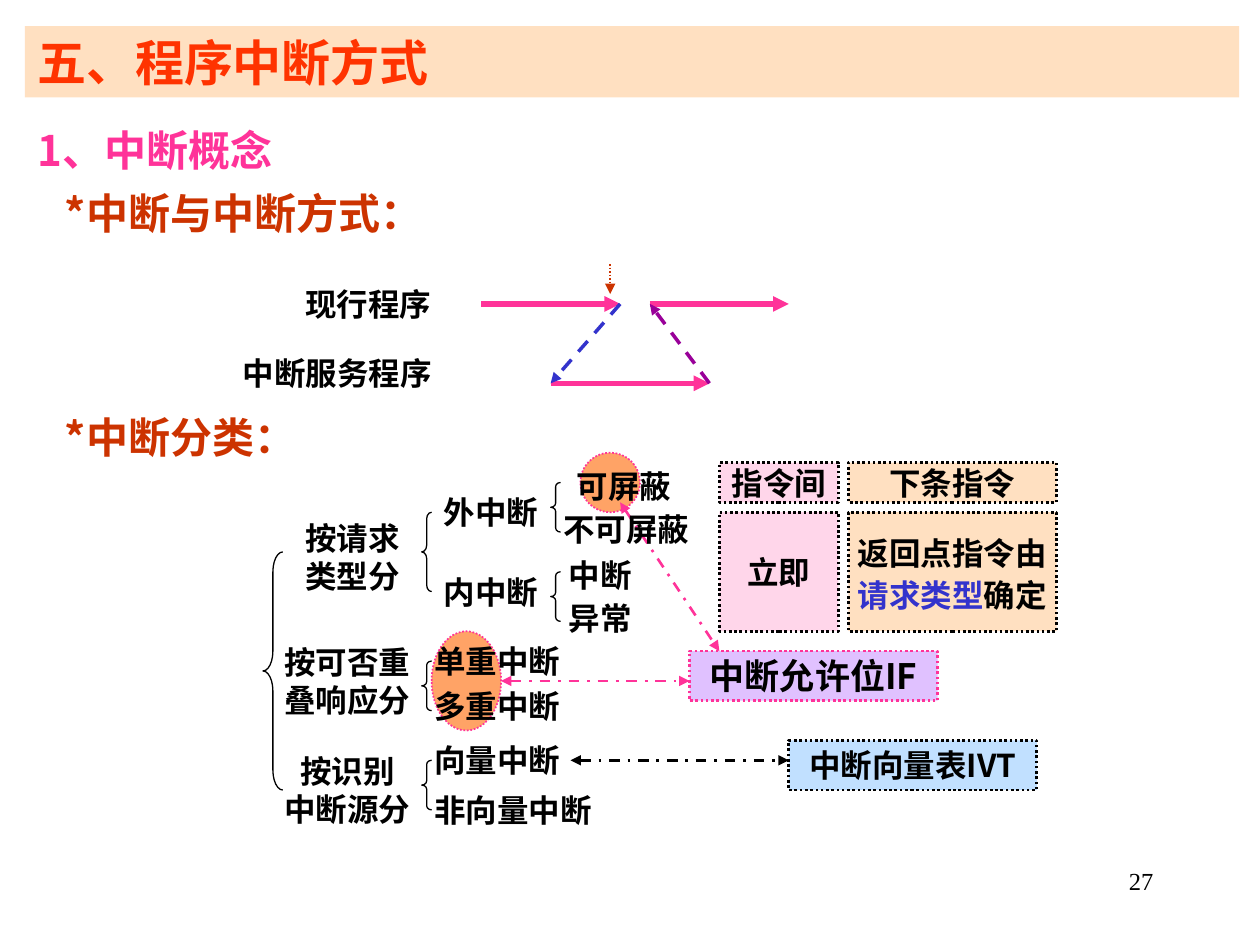
from lxml.etree import SubElement
from pptx import Presentation
from pptx.dml.color import RGBColor
from pptx.enum.dml import MSO_LINE
from pptx.enum.shapes import MSO_CONNECTOR, MSO_SHAPE
from pptx.enum.text import MSO_ANCHOR, PP_ALIGN
from pptx.oxml.ns import qn
from pptx.util import Inches, Mm, Pt

BLACK = RGBColor(0x00, 0x00, 0x00)
RED = RGBColor(0xFF, 0x33, 0x00)
BRICK = RGBColor(0xCC, 0x33, 0x00)
PINK = RGBColor(0xFF, 0x33, 0x99)
BLUE = RGBColor(0x33, 0x33, 0xCC)
PURPLE = RGBColor(0x99, 0x00, 0x99)
PEACH = RGBColor(0xFF, 0xCC, 0x99)
ROSE = RGBColor(0xFF, 0x99, 0xCC)
SKY = RGBColor(0x99, 0xCC, 0xFF)
LILAC = RGBColor(0xCC, 0x99, 0xFF)
ORANGE = RGBColor(0xFF, 0x66, 0x00)


class GridSlide:
    """Draws elements on a slide laid out on a grid of two-millimetre cells."""

    cell = Mm(2)
    left, top = Inches(0.04), Inches(0.05)
    sans, serif = "Noto Sans CJK SC", "Times New Roman"
    tight, roomy = (0.02, 0.01), (0.1, 0.05)

    def __init__(self, slide):
        self.slide = slide

    def point(self, column, row):
        return int(self.left + column * self.cell), int(self.top + row * self.cell)

    def area(self, column, row, columns, rows):
        return *self.point(column, row), int(columns * self.cell), int(rows * self.cell)

    def frame(self, shape, insets, anchor):
        frame = shape.text_frame
        frame.word_wrap = True
        frame.vertical_anchor = anchor
        frame.margin_left = frame.margin_right = Inches(insets[0])
        frame.margin_top = frame.margin_bottom = Inches(insets[1])
        return frame

    def label(self, *cells, insets=tight, anchor=MSO_ANCHOR.MIDDLE):
        box = self.slide.shapes.add_textbox(*self.area(*cells))
        return self.frame(box, insets, anchor)

    def panel(self, *cells, fill, opacity=60, outline=BLACK, weight=1.5,
              kind=MSO_SHAPE.RECTANGLE, insets=tight, anchor=MSO_ANCHOR.MIDDLE):
        shape = self.slide.shapes.add_shape(kind, *self.area(*cells))
        shape.shadow.inherit = False
        shape.fill.solid()
        shape.fill.fore_color.rgb = fill
        tint = shape._element.spPr.find(qn("a:solidFill"))[0]
        SubElement(tint, qn("a:alpha"), val=str(opacity * 1000))
        if outline is None:
            shape.line.fill.background()
        else:
            shape.line.color.rgb = outline
            shape.line.width = Pt(weight)
            shape.line.dash_style = MSO_LINE.ROUND_DOT
        return self.frame(shape, insets, anchor)

    def brace(self, column, row, columns, rows):
        shape = self.slide.shapes.add_shape(
            MSO_SHAPE.LEFT_BRACE, *self.area(column, row, columns, rows))
        shape.shadow.inherit = False
        shape.adjustments[0] = rows / columns / 12
        shape.fill.background()
        shape.line.color.rgb = BLACK
        shape.line.width = Pt(0.75)

    def arrow(self, start, end, colour, weight, dash=None, ends=("tailEnd",)):
        line = self.slide.shapes.add_connector(
            MSO_CONNECTOR.STRAIGHT, *self.point(*start), *self.point(*end))
        line.line.color.rgb = colour
        line.line.width = Pt(weight)
        if dash:
            line.line.dash_style = dash
        properties = line._element.spPr
        for end_name in ends:
            SubElement(properties.find(qn("a:ln")), qn(f"a:{end_name}"), type="triangle")
        SubElement(properties, qn("a:effectLst"))

    def link(self, start, end, colour):
        self.arrow(start, end, colour, 1.5, MSO_LINE.DASH_DOT, ("headEnd", "tailEnd"))

    def text(self, frame, words, size=18, colour=BLACK, align=PP_ALIGN.CENTER,
             spacing=None, indent=0, font=sans, bold=True):
        paragraph = frame.add_paragraph() if frame.text else frame.paragraphs[0]
        paragraph.alignment = align
        paragraph.line_spacing = spacing
        properties = paragraph._p.get_or_add_pPr()
        if indent:
            properties.set("marL", str(Inches(indent)))
        paragraph.font.size = Pt(size)
        paragraph.font.bold = bold
        paragraph.font.color.rgb = colour
        paragraph.font.name = font
        SubElement(properties.find(qn("a:defRPr")), qn("a:ea"), typeface=font)
        paragraph.add_run().text = words
        return paragraph


def draw_headings(grid):
    left = PP_ALIGN.LEFT
    page = {"insets": grid.roomy, "anchor": MSO_ANCHOR.TOP}
    title = grid.panel(2, 2, 122.4, 7.2, fill=PEACH, outline=None, **page)
    grid.text(title, "五、程序中断方式", size=28, colour=RED, align=left)
    concept = grid.label(2, 10, 122.4, 14, **page)
    grid.text(concept, "1、中断概念", size=24, colour=PINK, align=left, spacing=1.25)
    kinds = grid.label(2, 39, 122.4, 7.6, **page)
    for frame, topic in ((concept, "*中断与中断方式："), (kinds, "*中断分类：")):
        grid.text(frame, topic, size=24, colour=BRICK, align=left,
                  spacing=1.25, indent=0.22)
    number = grid.label(90.6, 86, 26.4, 6.3, **page)
    grid.text(number, "27", size=14, align=PP_ALIGN.RIGHT, font=grid.serif, bold=False)


def draw_response(grid):
    for column, columns, fill, opacity, heading in (
            (72, 12, ROSE, 40, "指令间"), (85, 21, PEACH, 60, "下条指令")):
        grid.text(grid.panel(column, 46, columns, 4, fill=fill, opacity=opacity), heading)
    grid.text(grid.panel(72, 51, 12, 12, fill=ROSE, opacity=40), "立即")
    resume = grid.panel(85, 51, 21, 12, fill=PEACH)
    grid.text(resume, "返回点指令由", spacing=1.1)
    decision = grid.text(resume, "请求类型", spacing=1.1)
    decision.runs[0].font.color.rgb = BLUE
    decision.add_run().text = "确定"


def draw_links(grid):
    grid.text(grid.panel(79, 74, 25, 5, fill=SKY), "中断向量表IVT")
    grid.link((57, 76), (79, 76), BLACK)
    for cells in ((43, 63, 7, 10), (58, 45, 6, 6)):
        grid.panel(*cells, fill=ORANGE, outline=PINK, weight=1, kind=MSO_SHAPE.OVAL)
    grid.text(grid.panel(69, 65, 25, 5, fill=LILAC, outline=PINK), "中断允许位IF", size=20)
    grid.link((50, 68), (69, 68), PINK)
    grid.link((62, 50), (72, 65), PINK)


def draw_flow(grid):
    for start, end in (((48, 30), (62, 30)), ((55, 38), (71, 38)), ((65, 30), (79, 30))):
        grid.arrow(start, end, PINK, 3)
    grid.arrow((62, 30), (55, 38), BLUE, 2, MSO_LINE.DASH)
    grid.arrow((71, 38), (65, 30), PURPLE, 2, MSO_LINE.DASH)
    grid.arrow((61, 26), (61, 29), BRICK, 1, MSO_LINE.ROUND_DOT)
    grid.text(grid.label(30, 28, 14, 4), "现行程序", align=PP_ALIGN.LEFT)
    grid.text(grid.label(23, 35, 21, 4), "中断服务程序")


def draw_tree(grid):
    for cells, name in (((29, 52, 12, 7), "按请求类型分"), ((27, 64, 15, 8), "按可否重叠响应分"),
                        ((43, 49, 12, 4), "外中断"), ((43, 57, 12, 4), "内中断")):
        grid.text(grid.label(*cells), name)
    for cells, name in (((43, 64, 16, 4), "单重中断"), ((43, 69, 15, 3), "多重中断"),
                        ((43, 74, 16, 4), "向量中断"), ((43, 79, 18, 4), "非向量中断")):
        grid.text(grid.label(*cells), name, align=PP_ALIGN.LEFT)
    masking = grid.label(56, 46, 14, 9)
    grid.text(masking, "可屏蔽", align=PP_ALIGN.LEFT, indent=0.11)
    grid.text(masking, "不可屏蔽", align=PP_ALIGN.LEFT, spacing=1.15)
    internal = grid.label(56, 55, 8, 9)
    grid.text(internal, "中断")
    grid.text(internal, "异常", spacing=1.15)
    source = grid.label(27, 75, 15, 8)
    for name in ("按识别", "中断源分"):
        grid.text(source, name)
    for cells in ((55, 48, 1, 5), (55, 57, 1, 5), (42, 51, 1, 8),
                  (42, 66, 1, 5), (42, 76, 1, 5), (26, 55, 2, 24)):
        grid.brace(*cells)


def main():
    deck = Presentation()
    deck.slide_width, deck.slide_height = Inches(10), Inches(7.5)
    grid = GridSlide(deck.slides.add_slide(deck.slide_layouts[6]))
    for draw in (draw_response, draw_links, draw_headings, draw_flow, draw_tree):
        draw(grid)
    deck.save("out.pptx")


if __name__ == "__main__":
    main()
